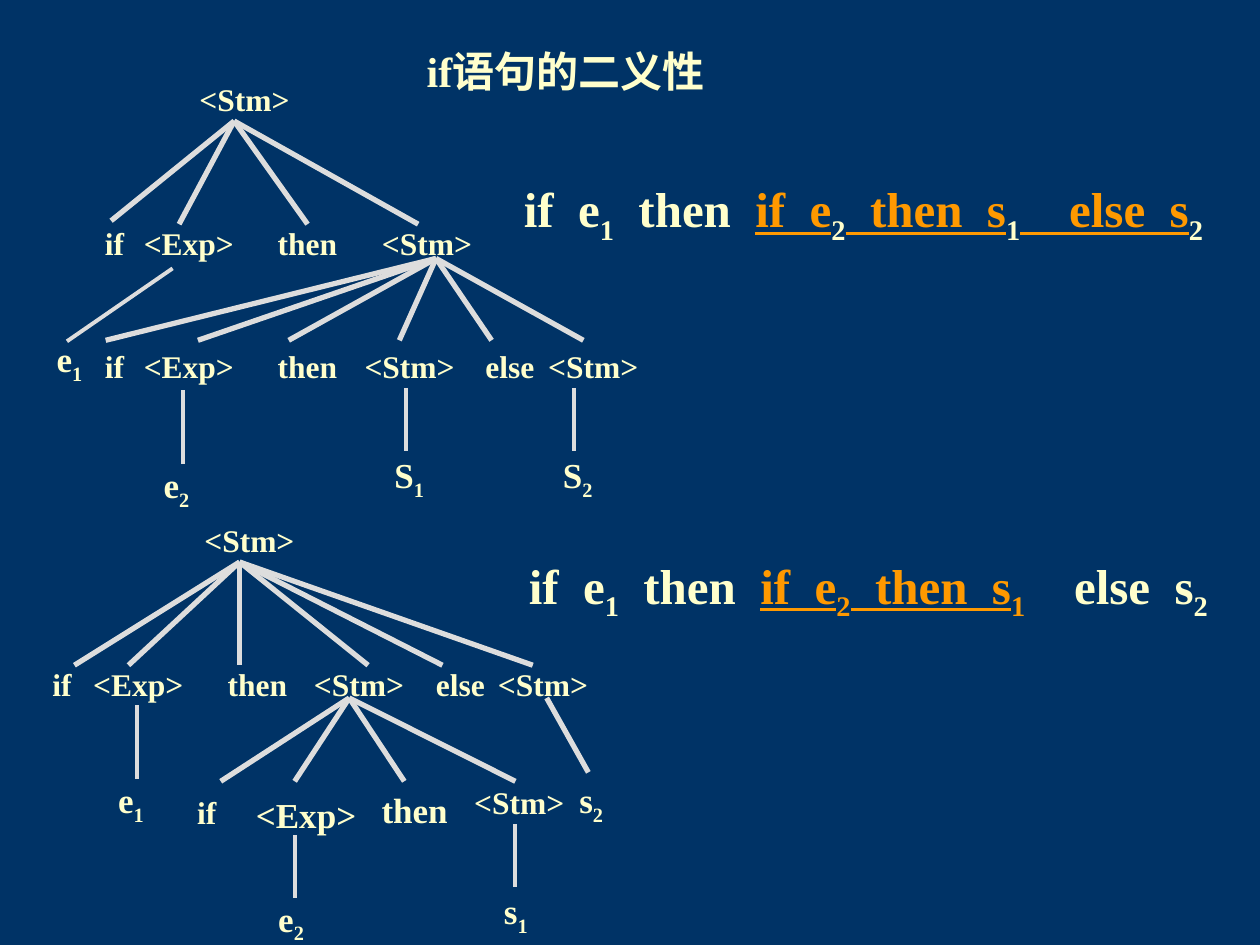
"""Build a slide showing the two parse trees of a nested if statement."""
from lxml import etree
from pptx import Presentation, util as u
from pptx.dml.color import RGBColor
from pptx.enum import shapes, text
from pptx.oxml import ns

COLORS = {"back": "003366", "text": "FFFFCC", "accent": "FF9900", "line": "DDDDDD"}
WIDTHS = {"if": 1.12, "then": 1.48, "else": 1.5, "<Exp>": 2.24, "<Stm>": 2.24}


def add_run(p, content, size=18, color="text", underline=None, sub=False):
    r = p.add_run()
    r.text = content
    r.font.name = "Times New Roman"
    r.font.size = u.Pt(size)
    r.font.bold = True
    r.font.underline = underline
    r.font.color.rgb = RGBColor.from_string(COLORS[color])
    if sub:
        r.font._element.set("baseline", "-25000")


class Slide:
    def __init__(self, prs):
        self.s = prs.slides.add_slide(prs.slide_layouts[5])
        self.s.background.fill.solid()
        self.s.background.fill.fore_color.rgb = RGBColor.from_string(COLORS["back"])
        self.target = self.s.shapes

    def start_group(self):
        self.target = self.s.shapes.add_group_shape().shapes

    def end_group(self):
        self.target = self.s.shapes

    def frame(self, sp, inset, align):
        tf = sp.text_frame
        tf.word_wrap = True
        tf.auto_size = text.MSO_AUTO_SIZE.NONE
        tf.vertical_anchor = text.MSO_ANCHOR.TOP
        tf.margin_left = tf.margin_right = u.Cm(inset)
        tf.margin_top = tf.margin_bottom = u.Cm(inset / 2)
        p = tf.paragraphs[0]
        p.alignment = align
        return p

    def title(self, content, x, y, w, h):
        sp = self.s.shapes.title
        sp.left, sp.top, sp.width, sp.height = (u.Cm(v) for v in (x, y, w, h))
        add_run(self.frame(sp, 0.03, text.PP_ALIGN.LEFT), content, size=24)

    def box(self, x, y, w, h, inset=0.03, align=text.PP_ALIGN.LEFT):
        sp = self.target.add_textbox(*(u.Cm(v) for v in (x, y, w, h)))
        return self.frame(sp, inset, align)

    def label(self, content, x, y, size=18):
        symbol = content.startswith("<")
        align = text.PP_ALIGN.LEFT if symbol else text.PP_ALIGN.CENTER
        p = self.box(x, y, WIDTHS[content], 1.24, align=align)
        add_run(p, content, size=size)

    def row(self, y, items):
        for content, x in items:
            self.label(content, x, y)

    def leaf(self, name, index, x, y):
        p = self.box(x, y, 1.9, 1.22, inset=0.25)
        add_run(p, name, size=20)
        add_run(p, index, size=20, sub=True)

    def formula(self, x, y, w, parts):
        p = self.box(x, y, w, 1.6, inset=0.25)
        for content, fmt in parts:
            add_run(p, content, size=28, **fmt)

    def line(self, x1, y1, x2, y2, width=2.25):
        c = self.target.add_connector(
            shapes.MSO_CONNECTOR.STRAIGHT, *(u.Cm(v) for v in (x1, y1, x2, y2)))
        c.line.color.rgb = RGBColor.from_string(COLORS["line"])
        c.line.width = u.Pt(width)
        etree.SubElement(c._element.spPr, ns.qn("a:effectLst"))

    def fan(self, x, y, bottom, ends):
        for end in ends:
            self.line(x, y, end, bottom, width=3)


def inner_else_tree(s):
    s.start_group()
    s.label("<Stm>", 3.99, 1.6)
    s.row(4.5, [("if", 1.75), ("<Exp>", 2.87), ("then", 5.46), ("<Stm>", 7.67)])
    s.row(6.99, [("if", 1.75), ("<Exp>", 2.87), ("then", 5.46),
                 ("<Stm>", 7.32), ("else", 9.53), ("<Stm>", 11.02)])
    s.fan(8.79, 5.21, 6.86, [2.13, 3.99, 5.82, 8.05, 9.91, 11.76])
    s.fan(4.72, 2.44, 4.52, [3.61, 6.2, 8.43])
    s.fan(4.72, 2.44, 4.45, [2.24])
    s.line(3.48, 5.41, 1.35, 6.88)
    s.line(3.68, 7.87, 3.68, 9.35)
    s.leaf("e", "1", 0.89, 6.68)
    s.leaf("e", "2", 3.05, 9.22)
    for index, x in (("1", 8.18), ("2", 11.58)):
        s.line(x, 7.82, x, 9.09)
        s.leaf("S", index, x - 0.48, 9.02)
    s.end_group()


def outer_else_tree(s):
    s.start_group()
    s.label("<Stm>", 4.09, 10.49)
    s.row(13.39, [("if", 0.69), ("<Exp>", 1.85), ("then", 4.45),
                  ("<Stm>", 6.3), ("else", 8.53), ("<Stm>", 10.01)])
    s.label("if", 3.61, 15.98)
    s.label("<Exp>", 5.13, 15.98, size=20)
    s.label("then", 7.62, 15.88, size=20)
    s.label("<Stm>", 9.53, 15.77)
    s.fan(7.04, 14.07, 15.75, [4.45, 5.94, 8.15, 10.39])
    s.fan(4.83, 11.33, 13.41, [1.5, 2.59, 4.83, 7.42, 8.92, 10.74])
    s.fan(11.02, 14.07, 15.57, [11.86])
    s.line(2.77, 14.22, 2.77, 15.7)
    s.line(5.94, 16.84, 5.94, 18.11)
    s.line(10.39, 16.61, 10.39, 17.88)
    s.leaf("e", "1", 2.13, 15.57)
    s.leaf("e", "2", 5.36, 17.96)
    s.leaf("s", "1", 9.91, 17.81)
    s.leaf("s", "2", 11.43, 15.57)
    s.end_group()


def main():
    prs = Presentation()
    prs.slide_width, prs.slide_height = u.Cm(25.4), u.Cm(19.05)
    s = Slide(prs)
    s.title("if语句的二义性", 8.57, 0.91, 7.8, 1.07)
    plain, sub = {}, {"sub": True}
    marked = {"color": "accent", "underline": True}
    marked_sub = {"color": "accent", "sub": True}
    start = [("if  e", plain), ("1", sub), ("  then  ", plain), ("if  e", marked)]
    inner_else_tree(s)
    s.formula(10.31, 3.48, 14.81, start + [
        ("2", sub), ("  then  s", marked), ("1", sub),
        ("    else  s", marked), ("2", sub)])
    outer_else_tree(s)
    s.formula(10.41, 11.07, 14.5, start + [
        ("2", marked_sub), ("  then  s", marked), ("1", marked_sub),
        ("    else  s", plain), ("2", sub)])
    prs.save("out.pptx")


if __name__ == "__main__":
    main()
